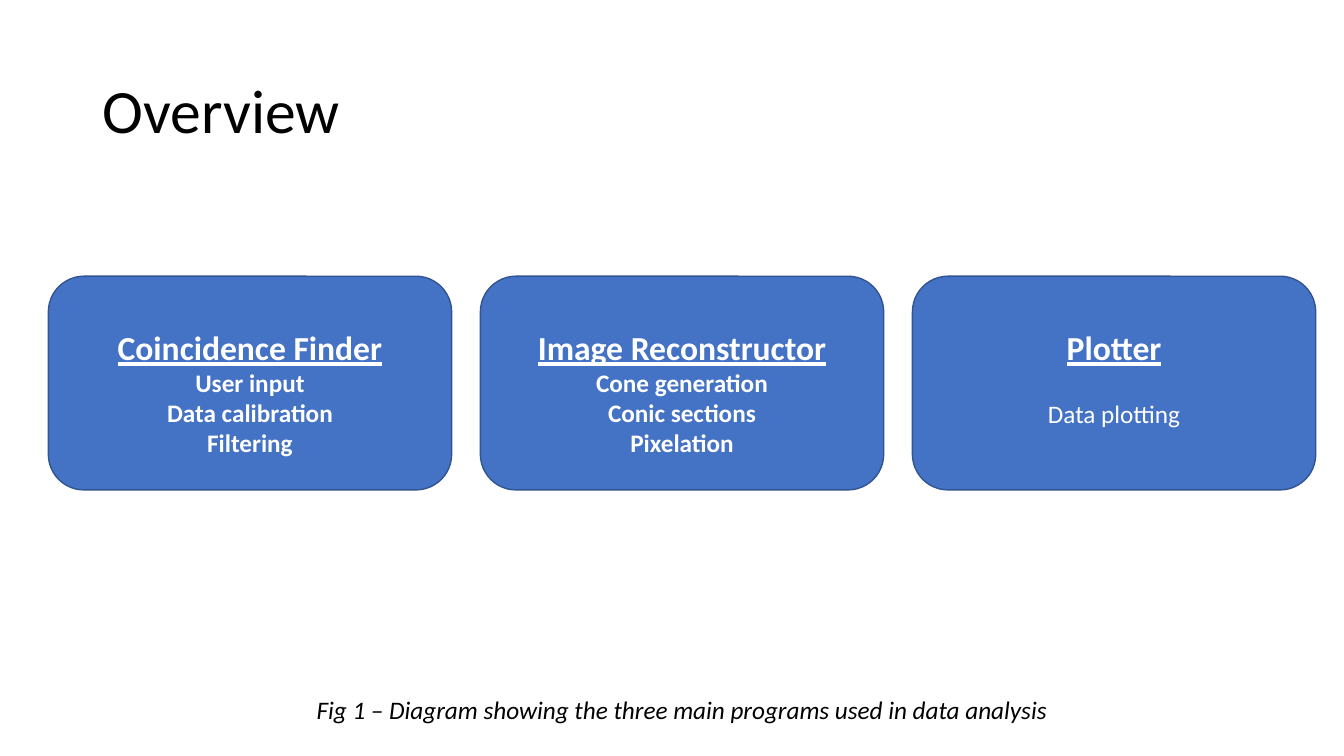
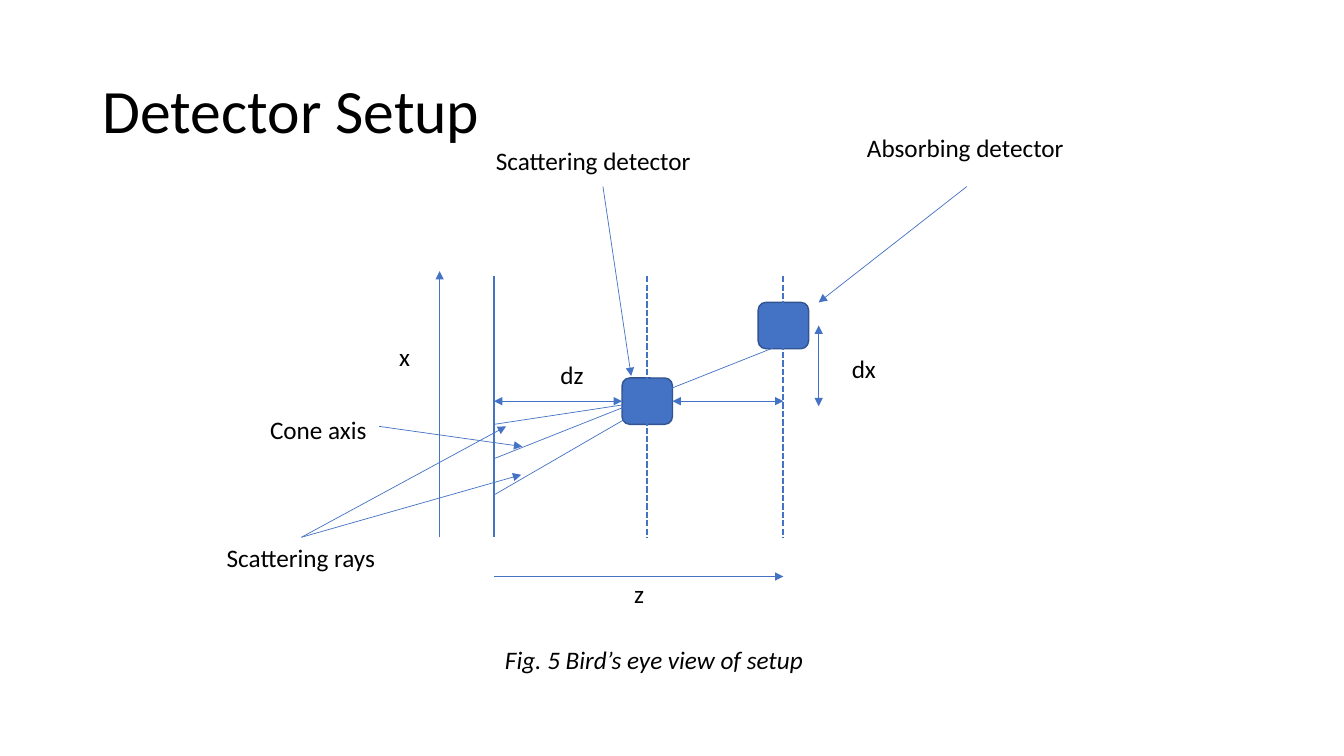
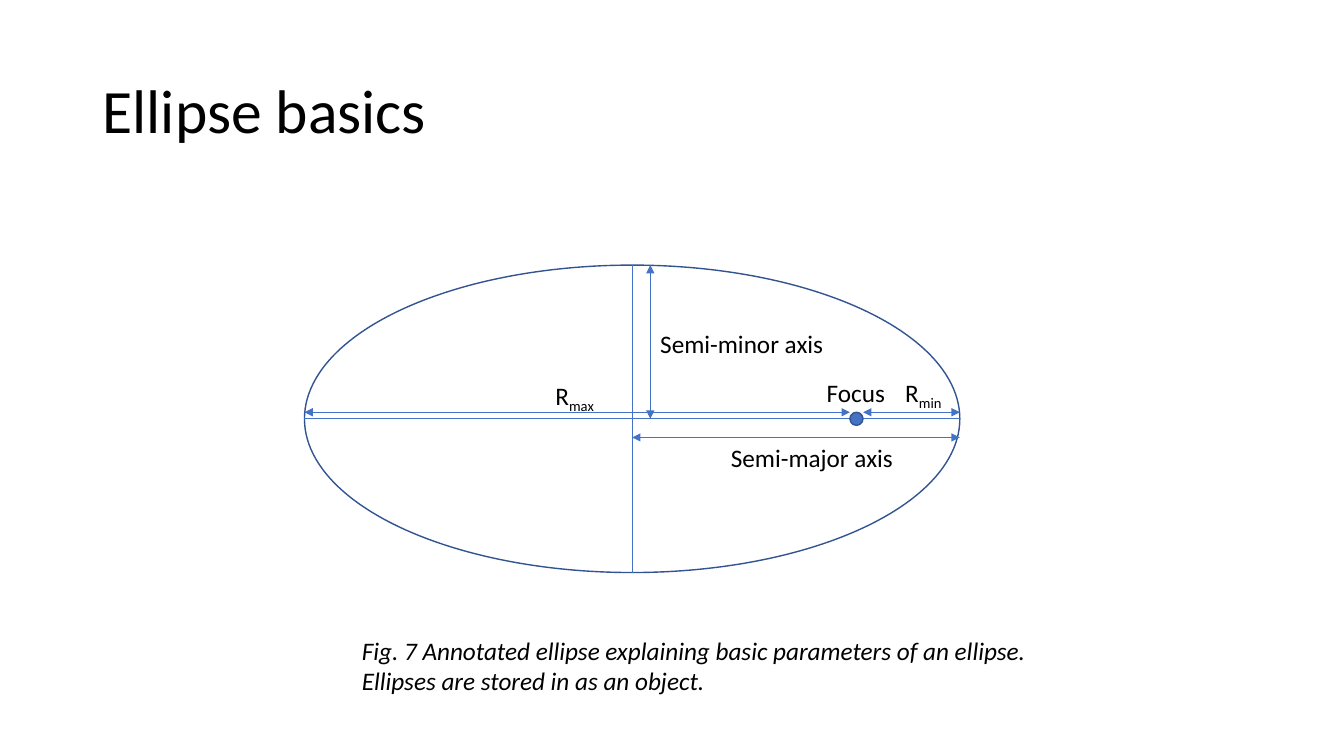
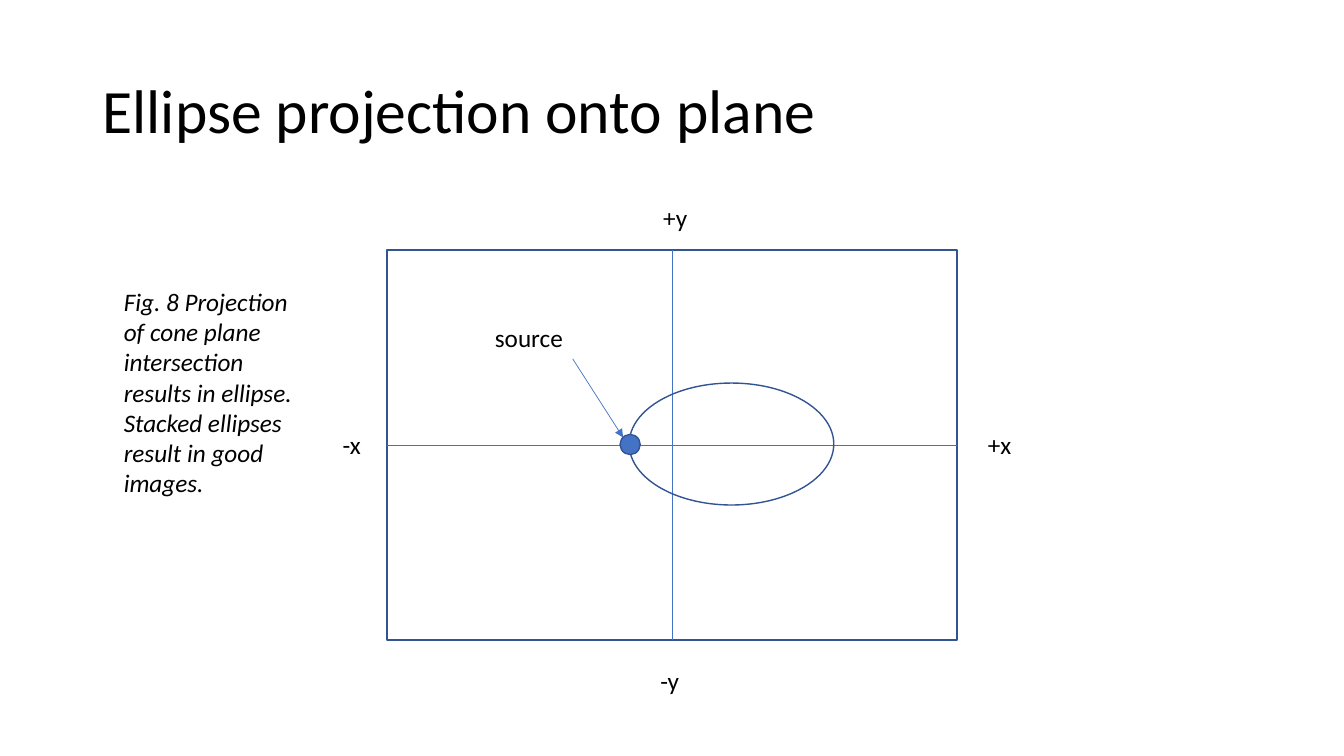
from dataclasses import dataclass
from typing import Iterable

from lxml.etree import SubElement
from pptx import Presentation
from pptx.dml.color import RGBColor
from pptx.enum.dml import MSO_LINE
from pptx.enum.shapes import MSO_CONNECTOR, MSO_SHAPE
from pptx.enum.text import MSO_ANCHOR, MSO_AUTO_SIZE, PP_ALIGN
from pptx.oxml.ns import qn
from pptx.presentation import Presentation as Deck
from pptx.shapes.autoshape import Shape
from pptx.slide import Slide
from pptx.text.text import _Run as Run
from pptx.util import Inches, Pt

FONT = "Calibri"
BLUE = "4472C4"
OUTLINE = "325491"
BLACK = "000000"
WHITE = "FFFFFF"
TITLE_SIZE = 44
HEADING_SIZE = 24
BODY_SIZE = 18
BODY_LINE = 22
THIN = 0.5
THICK = 1.5
TO_END = ("tailEnd",)
BOTH_ENDS = ("headEnd", "tailEnd")


@dataclass(frozen=True)
class Box:
    left: float
    top: float
    width: float
    height: float

    @property
    def right(self) -> float:
        return self.left + self.width

    @property
    def bottom(self) -> float:
        return self.top + self.height

    @property
    def center_x(self) -> float:
        return self.left + self.width / 2

    @property
    def center_y(self) -> float:
        return self.top + self.height / 2


@dataclass(frozen=True)
class Label:
    text: str
    left: float
    top: float
    width: float
    height: float = 0.4
    subscript: str = ""
    italic: bool = False
    wrap: bool = False
    align: PP_ALIGN = PP_ALIGN.LEFT


@dataclass(frozen=True)
class Line:
    start: tuple[float, float]
    end: tuple[float, float]
    arrows: tuple[str, ...] = ()
    width: float = THIN
    dashed: bool = False


@dataclass(frozen=True)
class Card:
    heading: str
    items: tuple[str, ...]
    bold_items: bool = True
    gap_lines: int = 0


def color(value: str) -> RGBColor:
    return RGBColor.from_string(value)


def lengths(box: Box) -> tuple[int, ...]:
    return tuple(Inches(side) for side in (box.left, box.top, box.width, box.height))


def format_run(run: Run, size: int, ink: str = BLACK, bold: bool = False,
               italic: bool = False, underline: bool = False) -> None:
    run.font.name = FONT
    run.font.size = Pt(size)
    run.font.color.rgb = color(ink)
    run.font.bold = bold
    run.font.italic = italic
    run.font.underline = underline


def add_titled_slide(presentation: Deck, title: str) -> Slide:
    slide = presentation.slides.add_slide(presentation.slide_layouts[6])
    frame = slide.shapes.add_textbox(*lengths(Box(0.92, 0.4, 11.5, 1.45))).text_frame
    frame.word_wrap = True
    frame.vertical_anchor = MSO_ANCHOR.MIDDLE
    frame.text = title
    frame.paragraphs[0].line_spacing = 0.9
    format_run(frame.paragraphs[0].runs[0], TITLE_SIZE)
    return slide


def add_figure(slide: Slide, kind: MSO_SHAPE, box: Box, filled: bool = True) -> Shape:
    shape = slide.shapes.add_shape(kind, *lengths(box))
    shape.shadow.inherit = False
    if filled:
        shape.fill.solid()
        shape.fill.fore_color.rgb = color(BLUE)
    else:
        shape.fill.background()
    shape.line.color.rgb = color(OUTLINE)
    shape.line.width = Pt(1)
    return shape


def add_lines(slide: Slide, lines: Iterable[Line]) -> None:
    for line in lines:
        points = (Inches(value) for value in (*line.start, *line.end))
        connector = slide.shapes.add_connector(MSO_CONNECTOR.STRAIGHT, *points)
        connector.line.color.rgb = color(BLUE)
        connector.line.width = Pt(line.width)
        if line.dashed:
            connector.line.dash_style = MSO_LINE.SQUARE_DOT
        properties = connector._element.spPr
        outline = properties.find(qn("a:ln"))
        for end in line.arrows:
            SubElement(outline, qn(f"a:{end}"), type="triangle")
        SubElement(properties, qn("a:effectLst"))


def add_labels(slide: Slide, labels: Iterable[Label]) -> None:
    for label in labels:
        box = Box(label.left, label.top, label.width, label.height)
        frame = slide.shapes.add_textbox(*lengths(box)).text_frame
        frame.word_wrap = label.wrap
        frame.auto_size = MSO_AUTO_SIZE.SHAPE_TO_FIT_TEXT
        frame.text = label.text
        if label.subscript:
            run = frame.paragraphs[0].add_run()
            run.text = label.subscript
            run._r.get_or_add_rPr().set("baseline", "-25000")
        for paragraph in frame.paragraphs:
            paragraph.alignment = label.align
            for run in paragraph.runs:
                format_run(run, BODY_SIZE, italic=label.italic)


def add_card(slide: Slide, card: Card, box: Box) -> None:
    frame = add_figure(slide, MSO_SHAPE.ROUNDED_RECTANGLE, box).text_frame
    frame.word_wrap = True
    frame.vertical_anchor = MSO_ANCHOR.TOP
    frame.margin_top = Inches(0.4)
    frame.text = "\n".join((card.heading, *card.items))
    heading, *items = frame.paragraphs
    heading.alignment = PP_ALIGN.CENTER
    format_run(heading.runs[0], HEADING_SIZE, WHITE, bold=True, underline=True)
    for item in items:
        item.alignment = PP_ALIGN.CENTER
        format_run(item.runs[0], BODY_SIZE, WHITE, bold=card.bold_items)
    items[0].space_before = Pt(card.gap_lines * BODY_LINE)


def cross_lines(box: Box) -> list[Line]:
    return [
        Line((box.left, box.center_y), (box.right, box.center_y)),
        Line((box.center_x, box.top), (box.center_x, box.bottom)),
    ]


def build_overview(presentation: Deck) -> None:
    slide = add_titled_slide(presentation, "Overview")
    cards = [
        Card("Coincidence Finder", ("User input", "Data calibration", "Filtering")),
        Card("Image Reconstructor", ("Cone generation", "Conic sections", "Pixelation")),
        Card("Plotter", ("Data plotting",), bold_items=False, gap_lines=1),
    ]
    for index, card in enumerate(cards):
        add_card(slide, card, Box(0.48 + index * 4.285, 2.74, 4, 2.12))
    add_labels(slide, [
        Label("Fig 1 – Diagram showing the three main programs used in data analysis",
              1.77, 6.84, 9.99, italic=True, wrap=True, align=PP_ALIGN.CENTER),
    ])


def build_detector_setup(presentation: Deck) -> None:
    slide = add_titled_slide(presentation, "Detector Setup")
    scatterer = Box(6.17, 3.75, 0.5, 0.46)
    absorber = Box(7.52, 3, 0.5, 0.46)
    source_x, top, bottom = 4.9, 2.74, 5.33
    middle = scatterer.center_y
    rays_start = (2.99, bottom)

    add_lines(slide, [Line((source_x, top), (source_x, bottom), width=THICK)])
    for detector in (scatterer, absorber):
        add_figure(slide, MSO_SHAPE.ROUNDED_RECTANGLE, detector)
    add_lines(slide, [
        Line((detector.center_x, top), (detector.center_x, bottom), width=THICK, dashed=True)
        for detector in (scatterer, absorber)
    ])
    add_lines(slide, [
        Line((source_x, middle), (scatterer.left, middle), BOTH_ENDS),
        Line((scatterer.right, middle), (absorber.center_x, middle), BOTH_ENDS),
        Line((8.12, absorber.center_y), (8.12, 4.03), BOTH_ENDS),
        Line((4.36, bottom), (4.36, 2.69), TO_END),
        Line((source_x, 5.72), (absorber.center_x, 5.72), TO_END),
        Line((5.98, 1.85), (6.26, 3.73), TO_END),
        Line((9.59, 1.85), (8.12, 3), TO_END),
        Line((scatterer.center_x, middle), (source_x, 4.21)),
        Line((scatterer.center_x, 4.03), (source_x, 4.91)),
        Line((source_x, 4.55), (7.95, 3.34)),
        Line(rays_start, (5.02, 4.23), TO_END),
        Line(rays_start, (5.17, 4.71), TO_END),
        Line((3.76, 4.23), (5.18, 4.43), TO_END),
    ])
    add_labels(slide, [
        Label("Scattering detector", 4.82, 1.39, 2.16),
        Label("Absorbing detector", 8.5, 1.26, 2.18),
        Label("x", 3.86, 3.34, 0.31),
        Label("z", 6.19, 5.69, 0.3),
        Label("dx", 8.35, 3.46, 0.44),
        Label("dz", 5.46, 3.52, 0.44),
        Label("Scattering rays", 2.15, 5.33, 1.69),
        Label("Cone axis", 2.58, 4.06, 1.17),
        Label("Fig. 5 Bird’s eye view of setup", 4.91, 6.34, 3.19, italic=True),
    ])


def build_ellipse_basics(presentation: Deck) -> None:
    slide = add_titled_slide(presentation, "Ellipse basics")
    ellipse = Box(3.02, 2.63, 6.5, 3.05)
    focus = Box(8.43, 4.09, 0.13, 0.13)
    add_figure(slide, MSO_SHAPE.OVAL, ellipse, filled=False)
    add_lines(slide, cross_lines(ellipse))
    add_figure(slide, MSO_SHAPE.OVAL, focus)
    add_lines(slide, [
        Line((ellipse.left, focus.top), (focus.left, focus.top), BOTH_ENDS),
        Line((focus.right, focus.top), (ellipse.right, focus.top), BOTH_ENDS),
        Line((ellipse.center_x, 4.34), (ellipse.right, 4.34), BOTH_ENDS),
        Line((6.45, ellipse.top), (6.45, ellipse.center_y), BOTH_ENDS),
    ])
    add_labels(slide, [
        Label("Focus", 8.1, 3.69, 0.79),
        Label("R", 5.41, 3.72, 0.63, subscript="max"),
        Label("R", 8.88, 3.69, 0.6, subscript="min"),
        Label("Semi-minor axis", 6.45, 3.21, 1.84),
        Label("Semi-major axis", 7.15, 4.34, 1.82),
        Label("Fig. 7 Annotated ellipse explaining basic parameters of an ellipse.\n"
              "Ellipses are stored in as an object.", 3.49, 6.25, 6.86, 0.71, italic=True),
    ])


def build_ellipse_projection(presentation: Deck) -> None:
    slide = add_titled_slide(presentation, "Ellipse projection onto plane")
    plane = Box(3.84, 2.48, 5.65, 3.87)
    add_figure(slide, MSO_SHAPE.RECTANGLE, plane, filled=False)
    add_lines(slide, cross_lines(plane))
    add_figure(slide, MSO_SHAPE.OVAL, Box(6.24, 3.8, 2.03, 1.21), filled=False)
    add_figure(slide, MSO_SHAPE.OVAL, Box(6.15, 4.31, 0.2, 0.2))
    add_lines(slide, [Line((5.68, 3.56), (6.18, 4.34), TO_END)])
    add_labels(slide, [
        Label("+x", 9.7, 4.21, 0.44),
        Label("-x", 3.3, 4.21, 0.38),
        Label("+y", 6.48, 1.96, 0.44),
        Label("-y", 6.45, 6.55, 0.39),
        Label("source", 4.81, 3.15, 0.88),
        Label("Fig. 8 Projection of cone plane intersection results in ellipse. "
              "Stacked ellipses result in good images.",
              1.13, 2.79, 2.07, 2.22, italic=True, wrap=True),
    ])


def main() -> None:
    presentation = Presentation()
    presentation.slide_width = Inches(13.33)
    presentation.slide_height = Inches(7.5)
    build_overview(presentation)
    build_detector_setup(presentation)
    build_ellipse_basics(presentation)
    build_ellipse_projection(presentation)
    presentation.save("out.pptx")


if __name__ == "__main__":
    main()
